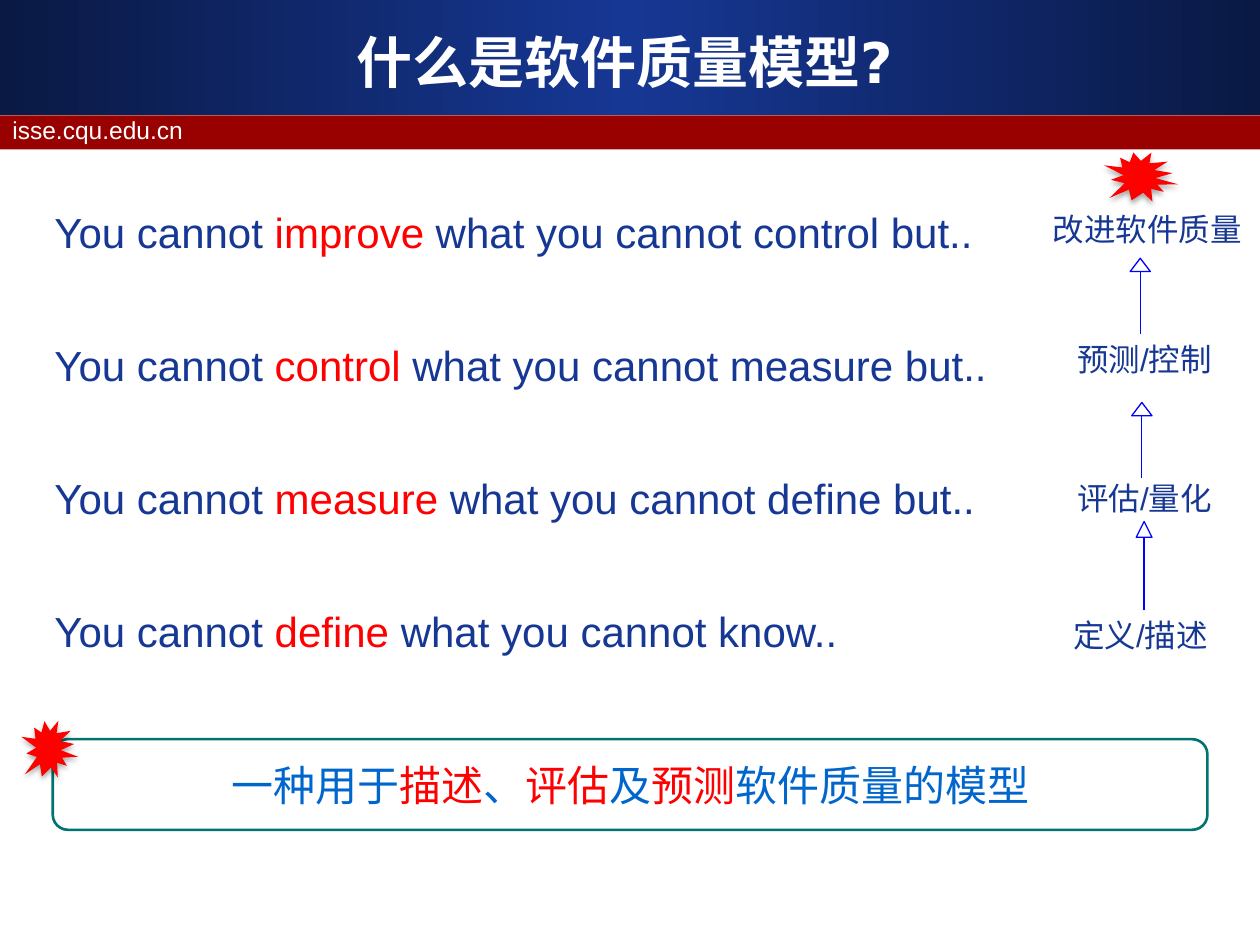
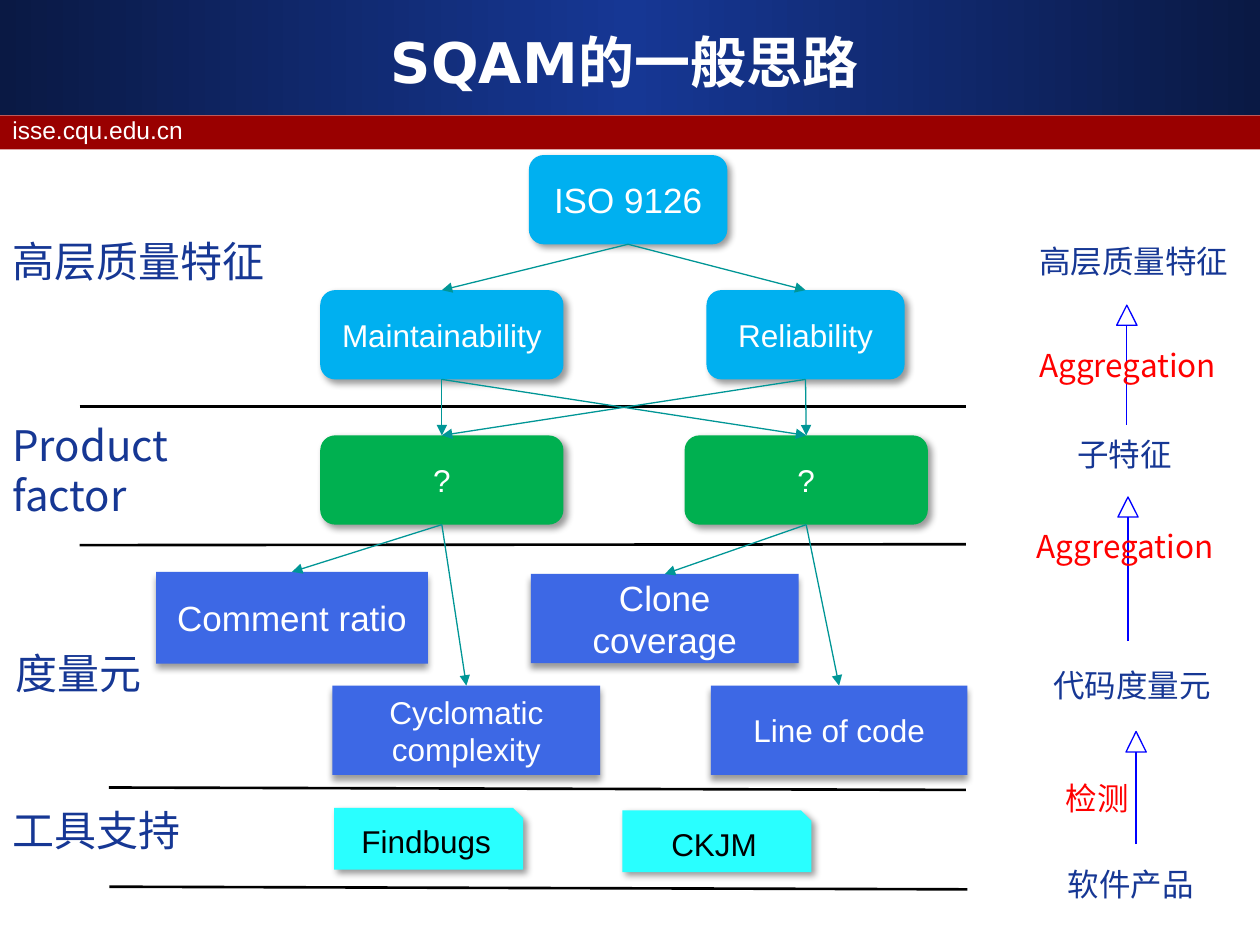
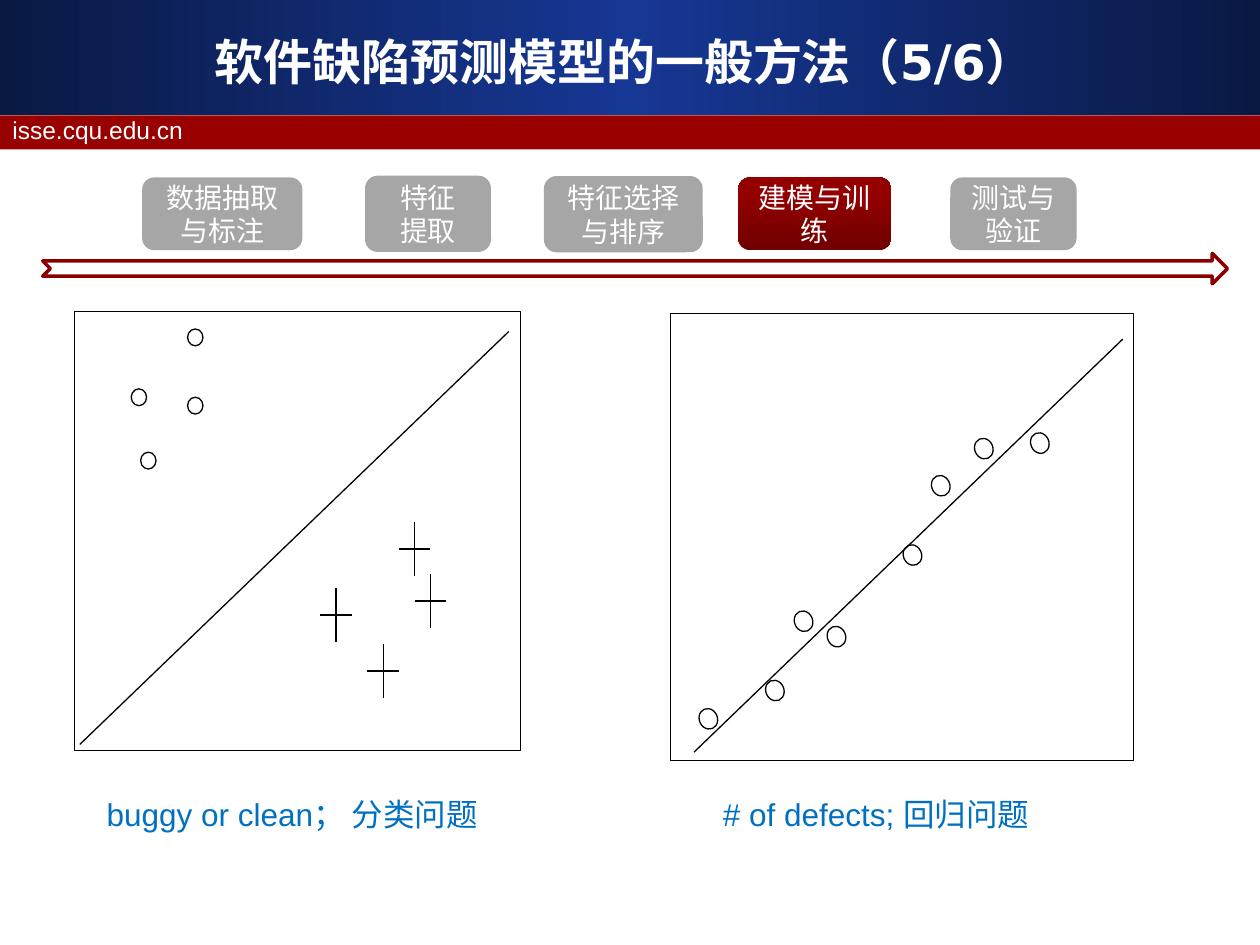
from copy import deepcopy
from lxml import etree
from pptx import Presentation
from pptx.dml.color import RGBColor
from pptx.enum.shapes import MSO_CONNECTOR, MSO_SHAPE
from pptx.enum.text import MSO_ANCHOR, PP_ALIGN
from pptx.oxml.ns import qn
from pptx.util import Pt

RECT = MSO_SHAPE.RECTANGLE
ROUND = MSO_SHAPE.ROUNDED_RECTANGLE
SNIP = MSO_SHAPE.SNIP_1_RECTANGLE
BURST = MSO_SHAPE.EXPLOSION1
HEAD = MSO_SHAPE.ISOSCELES_TRIANGLE
OVAL = MSO_SHAPE.OVAL
ARROW = MSO_SHAPE.NOTCHED_RIGHT_ARROW
STRAIGHT = MSO_CONNECTOR.STRAIGHT
LEFT, CENTER = PP_ALIGN.LEFT, PP_ALIGN.CENTER
TOP, MIDDLE = MSO_ANCHOR.TOP, MSO_ANCHOR.MIDDLE


class Theme:
    white, black, red = "FFFFFF", "000000", "FF0000"
    navy, night, band = "163794", "0A1944", "990000"
    blue, azure, caption = "0000FF", "0066CC", "0070C0"
    teal, link = "007373", "009696"
    sky, green, metric, tool = "00B0F0", "00B050", "3D68E5", "29FFFF"
    grey, maroon, ember, edge = "A6A6A6", "710000", "940000", "8A0000"
    sans, head, cjk = "Arial", "DejaVu Sans", "Noto Sans CJK SC"
    title, long, lead, node, body, step, foot = 32, 28, 24, 20, 18, 16, 14
    thin, bold, thick = 0.75, 1.5, 2
    down, slant, burst = (40, 4, 3, 90), (40, 4, 3, 45), (35, 3.1, 1.8, 90)


T = Theme


def put(page, kind, at, text=(), size=T.body, color=T.navy, font=T.sans, fill=None,
        angle=0, line=None, width=T.thin, shade=None, turn=0):
    place = [Pt(v) for v in at]
    if kind is None:
        shape = page.shapes.add_textbox(*place)
    else:
        shape = page.shapes.add_shape(kind, *place)
        shape.shadow.inherit = False
        shape.rotation = turn
        if isinstance(fill, list):
            shape.fill.gradient()
            shape.fill.gradient_angle = angle
            stops = shape._element.spPr.find(".//" + qn("a:gsLst"))
            stops.append(deepcopy(stops[0]))
            for stop, (spot, tone) in zip(shape.fill.gradient_stops, fill):
                stop.position = spot
                stop.color.rgb = RGBColor.from_string(tone)
        elif fill:
            shape.fill.solid()
            shape.fill.fore_color.rgb = RGBColor.from_string(fill)
        else:
            shape.fill.background()
        if line:
            shape.line.color.rgb = RGBColor.from_string(line)
            shape.line.width = Pt(width)
        else:
            shape.line.fill.background()
        if shade:
            alpha, blur, dist, way = shade
            list_ = shape._element.spPr.find(qn("a:effectLst"))
            outer = etree.SubElement(list_, qn("a:outerShdw"), blurRad=str(Pt(blur)),
                                     dist=str(Pt(dist)), dir=str(way * 60000),
                                     algn="ctr", rotWithShape="0")
            tone = etree.SubElement(outer, qn("a:srgbClr"), val=T.black)
            etree.SubElement(tone, qn("a:alpha"), val=str(alpha * 1000))
    frame = shape.text_frame
    frame.word_wrap = True
    frame.vertical_anchor = TOP if kind is None else MIDDLE
    for i, parts in enumerate([text] if isinstance(text, str) else text):
        para = frame.paragraphs[0] if i == 0 else frame.add_paragraph()
        para.alignment = LEFT if kind is None else CENTER
        para.font.name, para.font.size = font, Pt(size)
        if isinstance(parts, str):
            para.add_run().text = parts
            para.font.color.rgb = RGBColor.from_string(color)
        else:
            for word, tone in parts:
                run = para.add_run()
                run.text = word
                run.font.color.rgb = RGBColor.from_string(tone)
    return shape


def draw(page, x1, y1, x2, y2, color=T.black, width=T.thin, ends=None):
    wire = page.shapes.add_connector(STRAIGHT, Pt(x1), Pt(y1), Pt(x2), Pt(y2))
    wire.line.color.rgb = RGBColor.from_string(color)
    wire.line.width = Pt(width)
    if ends:
        wire.begin_connect(ends[0], 2)
        wire.end_connect(ends[1], 0)
        etree.SubElement(wire._element.spPr.find(qn("a:ln")), qn("a:tailEnd"), type="triangle")
    etree.SubElement(wire._element.spPr, qn("a:effectLst"))


deck = Presentation()
deck.slide_width, deck.slide_height = Pt(720), Pt(540)
pages = []
for title, size in (("什么是软件质量模型?", T.title), ("SQAM的一般思路", T.title),
                    ("软件缺陷预测模型的一般方法（5/6）", T.long)):
    page = deck.slides.add_slide(deck.slide_layouts[6])
    put(page, RECT, (0, 0, 720, 65.8), fill=[(0, T.night), (0.5, T.navy), (1, T.night)])
    put(page, RECT, (0, 66, 720, 19.4), fill=T.band)
    put(page, None, (0, 62, 692, 24.5), "isse.cqu.edu.cn", T.foot, T.white)
    name = put(page, None, (24, 12.4, 666, 44.6), title, size, T.white, T.head)
    name.text_frame.vertical_anchor = MIDDLE
    name.text_frame.paragraphs[0].alignment = CENTER
    name.text_frame.paragraphs[0].font.bold = True
    pages.append(page)
model, tree, learn = pages

for page, x, top, wide, high, foot in (
        (model, 653.8, 298, 9, 9, 348.5), (model, 652.5, 230, 11.6, 7.6, 273),
        (model, 651.6, 147.6, 11.6, 7.6, 190.6), (tree, 649.2, 418, 11.6, 11.8, 482.4),
        (tree, 644.6, 284, 11.6, 11.5, 366.4), (tree, 643.9, 174.4, 11.6, 11.5, 242.8)):
    draw(page, x, foot, x, top + high, T.blue)
    put(page, HEAD, (x - wide / 2, top, wide, high), line=T.blue)

say = put(model, None, (24, 105.2, 575, 314), [
    [("You cannot ", T.navy), (verb, T.red), (rest, T.navy)] for verb, rest in (
        ("improve", " what you cannot control but.."),
        ("control", " what you cannot measure but.."),
        ("measure", " what you cannot define but.."),
        ("define", " what you cannot know.."))], T.lead)
for i, para in enumerate(say.text_frame.paragraphs):
    para.line_spacing = Pt(38)
    if i:
        para.space_before = Pt(38)
put(model, ROUND, (30.2, 422.4, 659.8, 51.8), [[
    ("一种用于", T.azure), ("描述", T.red), ("、", T.azure), ("评估", T.red),
    ("及", T.azure), ("预测", T.red), ("软件质量的模型", T.azure)]],
    T.lead, line=T.teal, width=T.bold)
for at in ((12.2, 411.2, 32.4, 33.2), (638, 79.2, 28, 43.2)):
    put(model, BURST, at, fill=T.red, shade=T.burst, turn=274.1)
for text, x, y, wide in (("改进软件质量", 594.6, 116.6, 124), ("预测/控制", 608.4, 190.6, 97),
                         ("评估/量化", 608.4, 270, 97), ("定义/描述", 606.2, 348.4, 97)):
    put(model, None, (x, y, wide, 29), text)

for x1, y1, x2, y2 in ((45.5, 232.3, 552, 232.3), (45.5, 311.5, 552, 311),
                       (62.3, 450, 552, 451.4), (62.5, 506.7, 552.8, 508.2)):
    draw(tree, x1, y1, x2, y2, width=T.bold)
nodes = {}
for key, text, kind, at, size, fill, shade in (
        ("iso", "ISO 9126", ROUND, (302.2, 88.6, 113.4, 51), T.node, T.sky, T.slant),
        ("main", "Maintainability", ROUND, (183, 165.8, 139, 51), T.body, T.sky, T.slant),
        ("rely", "Reliability", ROUND, (403.7, 165.8, 113.2, 51), T.body, T.sky, T.slant),
        ("left", "?", ROUND, (183, 248.8, 139, 51), T.body, T.green, T.slant),
        ("right", "?", ROUND, (391.2, 248.8, 139, 51), T.body, T.green, T.slant),
        ("ratio", "Comment ratio", RECT, (89.2, 326.8, 155.4, 52.4), T.node, T.metric, T.down),
        ("clone", "Clone coverage", RECT, (303.4, 328, 153, 51), T.node, T.metric, T.down),
        ("cycle", "Cyclomatic complexity", RECT, (190, 391.8, 153, 51), T.body, T.metric, T.down),
        ("lines", "Line of code", RECT, (406.2, 391.8, 146.6, 51), T.body, T.metric, T.down)):
    nodes[key] = put(tree, kind, at, text, size, T.white, fill=fill, shade=shade)
for a, b in (("iso", "main"), ("iso", "rely"), ("main", "left"), ("main", "right"),
             ("rely", "left"), ("rely", "right"), ("left", "ratio"), ("left", "cycle"),
             ("right", "clone"), ("right", "lines")):
    draw(tree, 0, 0, 0, 0, T.link, ends=(nodes[a], nodes[b]))
for text, x, y in (("Findbugs", 191, 461.6), ("CKJM", 355.6, 463)):
    put(tree, SNIP, (x, y, 108, 35.4), text, color=T.black, fill=T.tool, shade=T.slant)
for text, x, y in (("高层质量特征", 0, 131), (["Product", "factor"], 0, 236),
                   ("度量元", 2, 366.4), ("工具支持", 0, 456.4)):
    put(tree, None, (x, y, 165, 36), text, T.lead, font=T.cjk)
for text, x, y in (("高层质量特征", 586.8, 134.6), ("子特征", 608.5, 244.8),
                   ("代码度量元", 594.8, 377.2), ("软件产品", 603.2, 491)):
    put(tree, None, (x, y, 124, 29), text)
for text, x, y in (("Aggregation", 586.8, 194.4), ("Aggregation", 585.2, 297.4),
                   ("检测", 602, 441.4)):
    put(tree, None, (x, y, 124, 29), text, color=T.red, font=T.cjk)

glow = [(0, T.maroon), (0.8, T.ember), (1, T.ember)]
for text, x, y, wide, high, fill in (
        ("数据抽取与标注", 81.2, 101.4, 91.6, 41.6, T.grey),
        (["特征", "提取"], 208.6, 100.4, 72, 43.6, T.grey),
        ("特征选择与排序", 310.8, 100.6, 90.8, 43.6, T.grey),
        ("建模与训练", 421.8, 101.4, 87.6, 41.6, glow),
        ("测试与验证", 543, 101.4, 72.2, 41.6, T.grey)):
    put(learn, ROUND, (x, y, wide, high), text, T.step, T.white, fill=fill, angle=90)
put(learn, ARROW, (24.4, 144.8, 677, 17.4), fill=T.white, line=T.edge, width=T.thick)

for at in ((42.4, 178, 255, 250.8), (383, 179.2, 264.8, 255.2)):
    put(learn, RECT, at, line=T.black)
for x, y in ((75, 222.2), (80.4, 258.4), (107.2, 188), (107.2, 227)):
    put(learn, OVAL, (x, y, 8.8, 9.6), fill=T.white, line=T.black)
for x, y in ((246, 343.5), (192, 351.5), (237, 313.8), (219, 383.5)):
    draw(learn, x - 9, y, x + 9, y)
    draw(learn, x, y - 15.6, x, y + 15.6)
for x, y in ((437.6, 388.6), (454, 349), (557, 250.4), (516.2, 311.2),
             (472.8, 357.8), (399.6, 404.8), (532.4, 271.6), (589, 247.2)):
    put(learn, OVAL, (x, y, 10.4, 12), fill=T.white, line=T.black, turn=336.7)
draw(learn, 45.6, 425.4, 290.8, 189.4)
draw(learn, 396.6, 429.8, 641.6, 193.8)

put(learn, None, (53.8, 450.8, 241, 29), "buggy or clean； 分类问题", color=T.caption)
count = put(learn, None, (401, 450.8, 216.6, 29), "# of defects;\t回归问题", color=T.caption)
props = count.text_frame.paragraphs[0]._p.get_or_add_pPr()
props.set("marL", "0")
props.set("indent", str(Pt(5)))
tabs = etree.Element(qn("a:tabLst"))
etree.SubElement(tabs, qn("a:tab"), pos=str(Pt(131)), algn="l")
props.insert(0, tabs)

deck.save("out.pptx")
